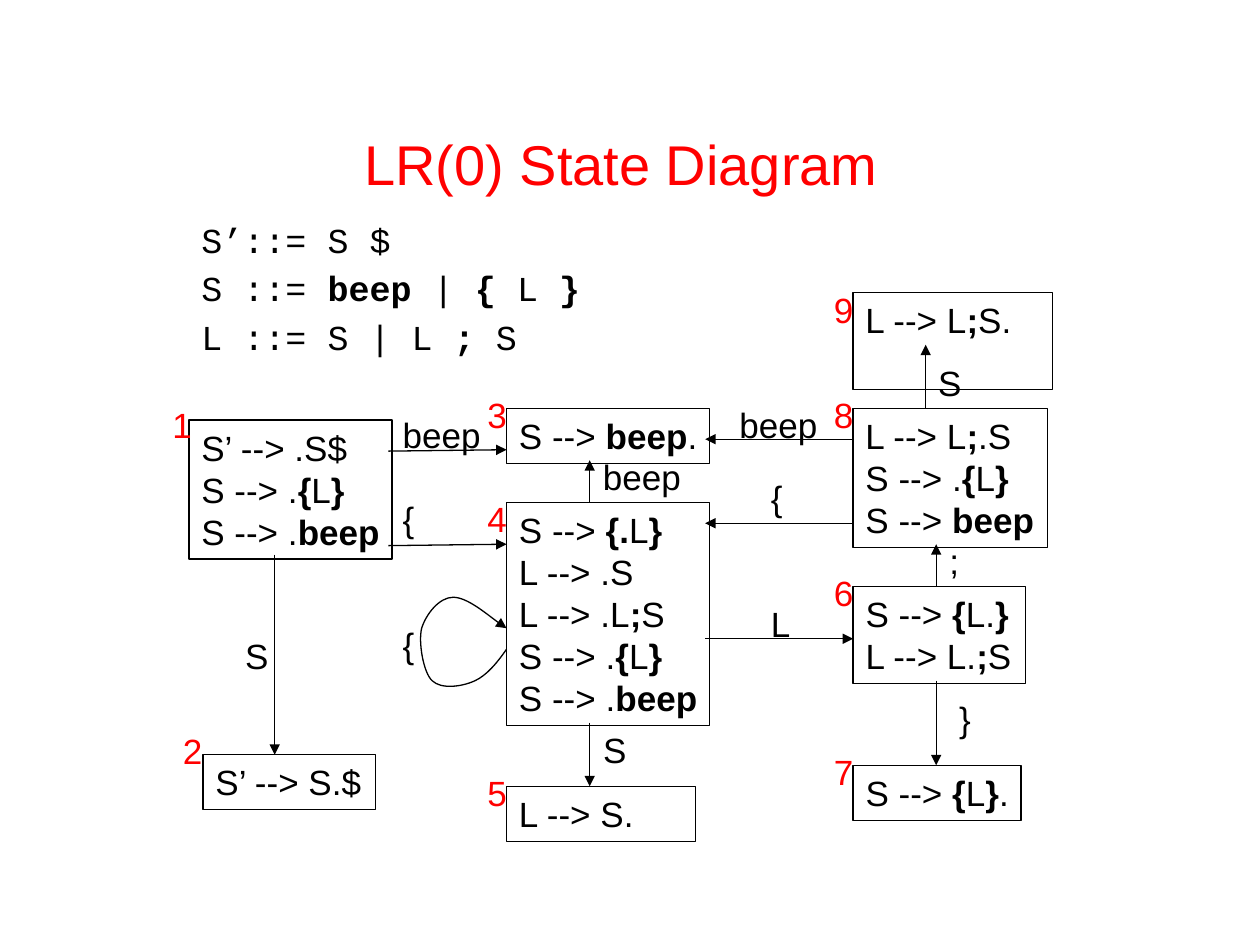
from dataclasses import dataclass
from lxml.etree import SubElement
from pptx import Presentation
from pptx.dml.color import RGBColor
from pptx.enum.shapes import MSO_CONNECTOR, MSO_SHAPE
from pptx.enum.text import MSO_ANCHOR, PP_ALIGN
from pptx.oxml.ns import qn
from pptx.util import Pt


@dataclass(frozen=True)
class Theme:
    ink: RGBColor = RGBColor(0, 0, 0)
    red: RGBColor = RGBColor(255, 0, 0)
    sans: str = "Arial"
    mono: str = "Courier New"
    head: int = 32
    body: int = 20
    line: float = 0.75


THEME = Theme()

# Content: text between asterisks is bold
TITLE = "LR(0) State Diagram"
GRAMMAR = ["S’::= S $", "S ::= *beep* | *{* L *}*", "L ::= S | L *;* S"]

COL, FAR = 289.5, 487.5  # left edges of the middle and right columns

# number: left, top, width, rows, number offset (x, y), items
STATES = {
    1: (108, 240, 116, 3, (-16.5, -13), ["S’ --> .S$", "S --> .*{*L*}*", "S --> .*beep*"]),
    2: (116, 431.3, 98.5, 1, (-18.5, -18), ["S’ --> S.$"]),
    3: (COL, 233.3, 116, 1, (-18, -12), ["S --> *beep*."]),
    4: (COL, 287.3, 116, 5, (-18, -6.5), [
        "S --> *{.*L*}*", "L --> .S", "L --> .L*;*S", "S --> .*{*L*}*", "S --> .*beep*"]),
    5: (COL, 449.3, 108, 1, (-18, -12), ["L --> S."]),
    6: (FAR, 335, 98.5, 2, (-18, -12), ["S --> *{*L.*}*", "L --> L.*;*S"]),
    7: (FAR, 437.3, 96, 1, (-18, -12), ["S --> *{*L*}*."]),
    8: (FAR, 233.3, 111, 3, (-18, -12), ["L --> L*;*.S", "S --> .*{*L*}*", "S --> *beep*"]),
    9: (FAR, 167.3, 114, 2, (-18, -6), ["L --> L*;*S."]),
}

# arrow start, arrow end, label, label corner
EDGES = [
    ((157, 317), (157, 431.3), "S", (133, 359)),
    ((337, 413), (337, 449.3), "S", (337.5, 413)),
    ((535, 389), (535, 437.3), "}", (541, 395)),
    ((535, 335), (535, 311), ";", (535.5, 305)),
    ((337, 287.3), (337, 263), "beep", (337.5, 257)),
    ((222, 257.8), (COL, 257), "beep", (223, 233)),
    ((222, 311.8), (COL, 311), "{", (223, 281)),
    ((529, 233.3), (529, 197), "S", (529, 203)),
    ((FAR, 251), (403, 251), "beep", (415.5, 227)),
    ((FAR, 299), (403, 299), "{", (433.5, 269)),
    ((403, 365), (FAR, 365), "L", (433.5, 341)),
]

# Self loop on state 4: start, then three points for each curve
LOOP = [
    (289.5, 371), (284, 379, ), (278, 386), (271.5, 389),
    (264, 392.5), (252, 394), (247, 389),
    (242, 384.5), (239, 367), (241, 359),
    (243.5, 351), (251, 341.3), (259, 341.3),
    (267, 341.3), (284.5, 356), (289.5, 359),
]
LOOP_TAG = ("{", (223, 353))

# Layout rules
ROW, PAD = 24, 7.5
WIDE = {"S": 13.3, "L": 11.1, "{": 6.7, "}": 6.7, ";": 5.6, "beep": 44.5}

deck = Presentation()
deck.slide_width, deck.slide_height = Pt(720), Pt(540)
slide = deck.slides.add_slide(deck.slide_layouts[6])
parts = slide.shapes


def write(text, x, y, w, h, *, size=THEME.body, color=THEME.ink, font=THEME.sans,
          align=PP_ALIGN.LEFT, anchor=MSO_ANCHOR.TOP, frame=False, wrap=False,
          gap=0, space=None):
    """Add a text box or a framed box; text is a list of paragraphs."""
    area = [Pt(n) for n in (x, y, w, h)]
    if frame:
        box = parts.add_shape(MSO_SHAPE.RECTANGLE, *area)
        box.shadow.inherit = False
        box.fill.background()
        box.line.color.rgb = THEME.ink
        box.line.width = Pt(THEME.line)
    else:
        box = parts.add_textbox(*area)
    body = box.text_frame
    body.word_wrap, body.vertical_anchor = wrap, anchor
    for i, row in enumerate(text):
        para = body.add_paragraph() if i else body.paragraphs[0]
        para.alignment = align
        para.line_spacing = space
        if i and gap:
            para.space_before = Pt(gap)
        for j, bit in enumerate(row.split("*")):
            if bit:
                run = para.add_run()
                run.text = bit
                run.font.name, run.font.size = font, Pt(size)
                run.font.bold = j % 2 == 1
                run.font.color.rgb = color


def tag(text, x, y, color=THEME.ink):
    write([text], x, y, WIDE.get(text, 11.1) + 14.4, ROW + PAD, color=color)


def point(line):
    """Style a line and give its end an arrowhead."""
    line.line.color.rgb = THEME.ink
    line.line.width = Pt(THEME.line)
    SubElement(line.line._get_or_add_ln(), qn("a:tailEnd"), type="triangle")


# Title and grammar
write([TITLE], 49, 48, 612, 90, size=THEME.head, color=THEME.red,
      align=PP_ALIGN.CENTER, anchor=MSO_ANCHOR.MIDDLE, wrap=True)
write(GRAMMAR, 108, 124, 242.5, 78, font=THEME.mono, gap=6, space=0.9)

# State boxes
for x, y, w, rows, shift, items in STATES.values():
    write(items, x, y, w, rows * ROW + PAD, frame=True)

# Arrows
for start, end, *rest in EDGES:
    link = parts.add_connector(MSO_CONNECTOR.STRAIGHT, *map(Pt, start + end))
    SubElement(link._element.spPr, qn("a:effectLst"))
    point(link)

# Self loop: turn each three vertices into one curve
dots = [(Pt(x), Pt(y)) for x, y in LOOP]
pen = parts.build_freeform(*dots[0])
pen.add_line_segments(dots[1:], close=False)
loop = pen.convert_to_shape()
loop.shadow.inherit = False
loop.fill.background()
point(loop)
track = next(loop._element.iter(qn("a:path")))
steps = track.findall(qn("a:lnTo"))
for i in range(0, len(steps), 3):
    curve = SubElement(track, qn("a:cubicBezTo"))
    for step in steps[i:i + 3]:
        curve.append(step[0])
        track.remove(step)

# Edge labels and state numbers
for text, spot in [edge[2:] for edge in EDGES] + [LOOP_TAG]:
    tag(text, *spot)
for num, (x, y, w, rows, (dx, dy), items) in STATES.items():
    tag(str(num), x + dx, y + dy, THEME.red)

deck.save("out.pptx")
